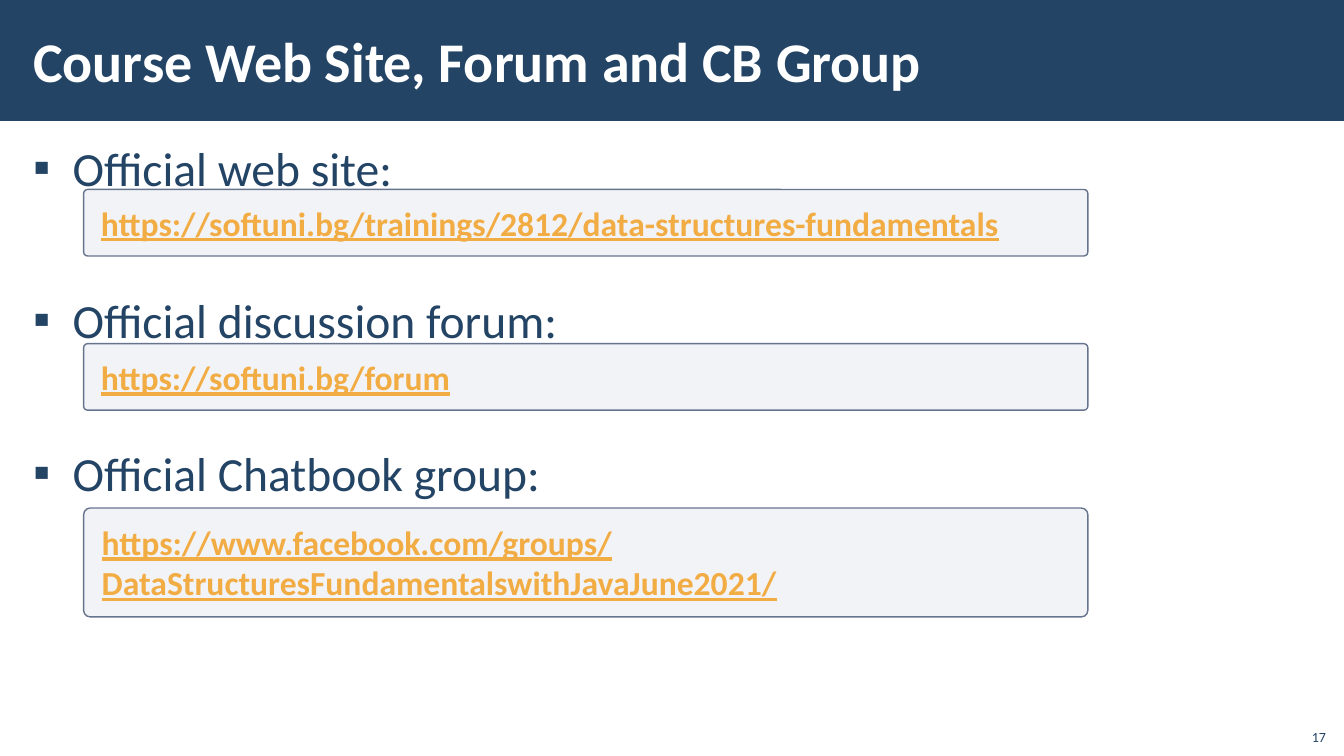
from lxml import etree
from pptx import Presentation
from pptx.dml.color import RGBColor
from pptx.enum.shapes import MSO_SHAPE
from pptx.enum.text import MSO_ANCHOR, MSO_AUTO_SIZE, PP_ALIGN
from pptx.oxml.ns import qn
from pptx.util import Inches, Pt

# Content
TITLE = "Course Web Site, Forum and CB Group"
TOPICS = ["Official web site:", "Official discussion forum:", "Official Chatbook group:"]
LINKS = [  # address, top, height
    ("https://softuni.bg/trainings/2812/data-structures-fundamentals", 1.88, 0.66),
    ("https://softuni.bg/forum", 3.41, 0.66),
    ("https://www.facebook.com/groups/DataStructuresFundamentalswithJavaJune2021/", 5.04, 1.08),
]
PAGE = "17"

# Style
NAVY = RGBColor(0x23, 0x44, 0x65)
WHITE = RGBColor(0xFF, 0xFF, 0xFF)
GOLD = RGBColor(0xF2, 0xAC, 0x44)
GRAY = RGBColor(0xAD, 0xB4, 0xC3)
SLATE = RGBColor(0x67, 0x74, 0x8E)
FONT = "Calibri"
RECT, ROUND = MSO_SHAPE.RECTANGLE, MSO_SHAPE.ROUNDED_RECTANGLE
TOP, MIDDLE, BOTTOM = MSO_ANCHOR.TOP, MSO_ANCHOR.MIDDLE, MSO_ANCHOR.BOTTOM
LEFT, RIGHT = PP_ALIGN.LEFT, PP_ALIGN.RIGHT
NO_FIT = MSO_AUTO_SIZE.NONE


def place(shape, *box):
    shape.left, shape.top, shape.width, shape.height = map(Inches, box)


def frame(shape, anchor, side, edge):
    text = shape.text_frame
    text.word_wrap = True
    text.auto_size = NO_FIT
    text.vertical_anchor = anchor
    text.margin_left = text.margin_right = Inches(side)
    text.margin_top = text.margin_bottom = Inches(edge)
    return text


def style(para, size, color, bold=False, align=LEFT):
    para.alignment = align
    font = para.font
    font.name, font.size, font.bold = FONT, Pt(size), bold
    font.color.rgb = color


def bullet(para):
    props = para._p.get_or_add_pPr()
    props.set("marL", str(Inches(0.39)))
    props.set("indent", str(-Inches(0.39)))
    etree.SubElement(props, qn("a:buFont")).set("typeface", FONT)
    etree.SubElement(props, qn("a:buChar")).set("char", "▪")


deck = Presentation()
deck.slide_width, deck.slide_height = Inches(13.33), Inches(7.5)
slide = deck.slides.add_slide(deck.slide_layouts[1])
shapes = slide.shapes
title, body = shapes.title, slide.placeholders[1]

# Title band, sent to the back
band = shapes.add_shape(RECT, 0, 0, deck.slide_width, Inches(1.2))
band.shadow.inherit = False
band.fill.solid()
band.fill.fore_color.rgb = NAVY
band.line.fill.background()
title._element.addprevious(band._element)

# Title
place(title, 0.21, 0.11, 10.63, 0.97)
text = frame(title, MIDDLE, 0.12, 0.04)
text.text = TITLE
style(text.paragraphs[0], 40, WHITE, True)

# Topics
place(body, 0.21, 1.31, 12.92, 6.05)
text = frame(body, TOP, 0.12, 0.04)
text.text = "\n".join(TOPICS)
for i, para in enumerate(text.paragraphs):
    para.line_spacing = 1.05
    para.space_before = Pt(60 if i else 0)
    para.space_after = Pt(6)
    bullet(para)
    style(para, 34, NAVY)

# Link boxes
for link, top, height in LINKS:
    box = shapes.add_shape(ROUND, Inches(0.83), Inches(top), Inches(9.96), Inches(height))
    box.adjustments[0] = 0.06
    box.shadow.inherit = False
    box.fill.solid()
    box.fill.fore_color.rgb = GRAY
    tint = box.fill._xPr.find(qn("a:solidFill"))[0]
    etree.SubElement(tint, qn("a:alpha")).set("val", "15000")
    box.line.color.rgb = SLATE
    box.line.width = Pt(1)
    text = frame(box, TOP, 0.16, 0.12)
    text.text = link
    style(text.paragraphs[0], 24, GOLD, True)
    text.paragraphs[0].font.underline = True

# Page number
page = shapes.add_textbox(Inches(12.85), Inches(7.12), Inches(0.4), Inches(0.32))
text = frame(page, BOTTOM, 0.1, 0.05)
text.text = PAGE
style(text.paragraphs[0], 10, NAVY, align=RIGHT)

deck.save("out.pptx")
